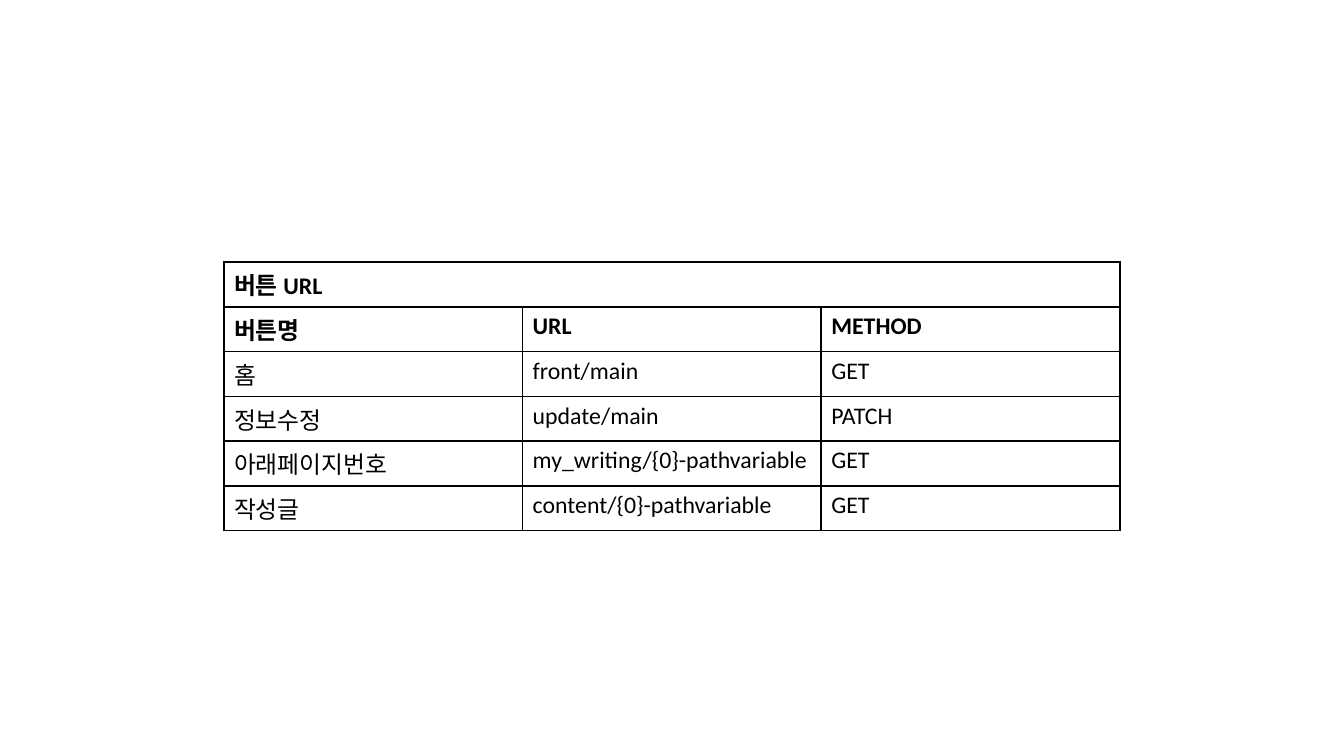
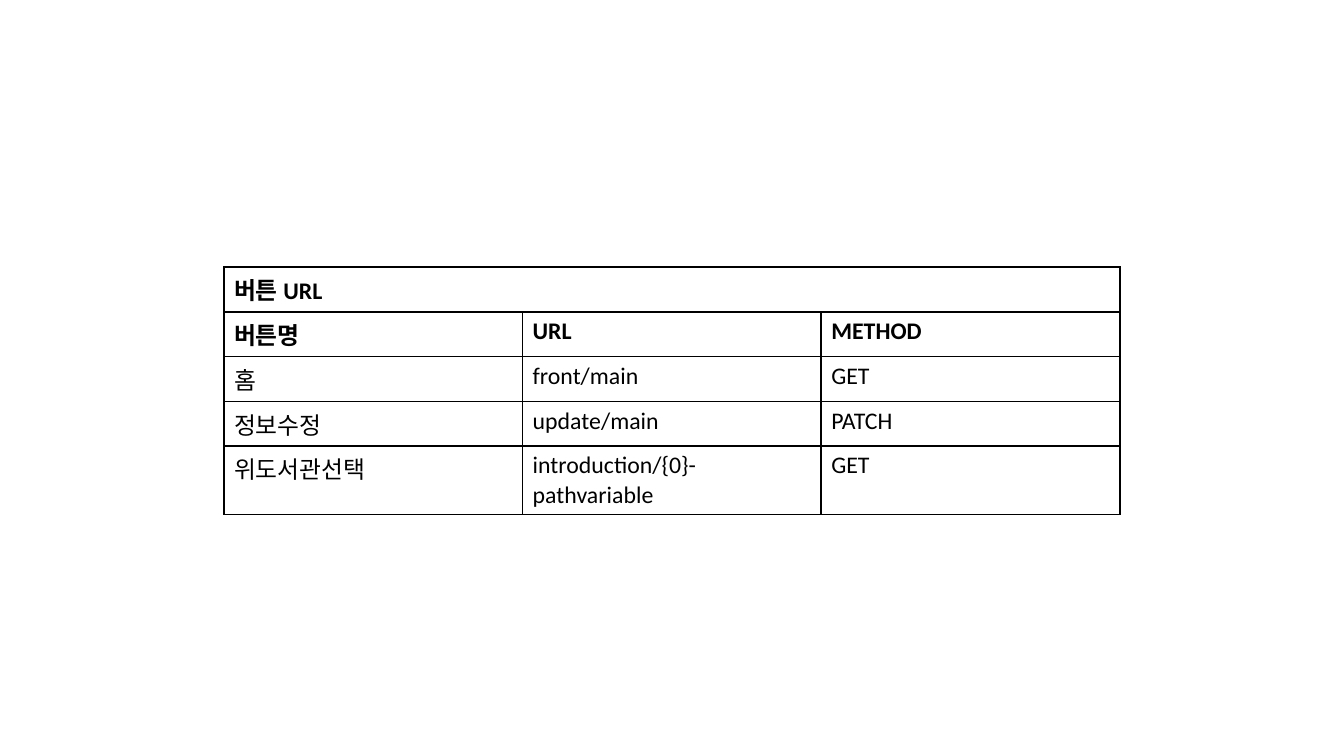
from dataclasses import dataclass

from lxml import etree
from pptx import Presentation
from pptx import util as u
from pptx.dml.color import RGBColor
from pptx.oxml import ns

Pt = u.Pt
COLORS = {"text": "000000", "border": "000000", "cell": "FFFFFF"}
FONT, FONT_SIZE = "Calibri", Pt(17)
BORDER_WIDTH = Pt(1.2)
SLIDE_W, SLIDE_H = Pt(960), Pt(540)
TABLE_LEFT, TABLE_W = Pt(160), Pt(640)
ROW_H = Pt(21.6)
BLANK_LAYOUT = 6

TITLE = "버튼 URL"
HEADERS = ("버튼명", "URL", "METHOD")
HEAD_ROWS = 2


@dataclass(frozen=True)
class Route:
    button: str
    url: str
    method: str = "GET"


@dataclass(frozen=True)
class RouteTable:
    top: float
    routes: tuple[Route, ...]


COMMON_ROUTES = (
    Route("홈", "front/main"),
    Route("정보수정", "update/main", "PATCH"),
)
TABLES = (
    RouteTable(187.2, COMMON_ROUTES + (
        Route("아래페이지번호", "my_writing/{0}-pathvariable"),
        Route("작성글", "content/{0}-pathvariable"),
    )),
    RouteTable(190.8, COMMON_ROUTES + (
        Route("위도서관선택", "introduction/{0}-pathvariable"),
    )),
)


def add_borders(cell) -> None:
    tc_pr = cell._tc.get_or_add_tcPr()
    for side in ("a:lnL", "a:lnR", "a:lnT", "a:lnB"):
        line = etree.SubElement(tc_pr, ns.qn(side), w=str(BORDER_WIDTH))
        fill = etree.SubElement(line, ns.qn("a:solidFill"))
        etree.SubElement(fill, ns.qn("a:srgbClr"), val=COLORS["border"])


def format_cell(cell, bold: bool) -> None:
    add_borders(cell)
    cell.fill.solid()
    cell.fill.fore_color.rgb = RGBColor.from_string(COLORS["cell"])
    for p in cell.text_frame.paragraphs:
        for r in p.runs:
            r.font.name = FONT
            r.font.size = FONT_SIZE
            r.font.bold = bold
            r.font.color.rgb = RGBColor.from_string(COLORS["text"])


def add_route_table(s, data: RouteTable) -> None:
    rows = [(TITLE,), HEADERS]
    rows += [(route.button, route.url, route.method) for route in data.routes]
    columns = len(HEADERS)
    table = s.shapes.add_table(len(rows), columns, TABLE_LEFT, Pt(data.top),
                               TABLE_W, ROW_H * len(rows)).table
    table.first_row = False
    table.horz_banding = False
    table.cell(0, 0).merge(table.cell(0, columns - 1))
    for i, (row, values) in enumerate(zip(table.rows, rows)):
        row.height = ROW_H
        for cell, value in zip(row.cells, values):
            cell.text_frame.text = value
        for cell in row.cells:
            format_cell(cell, bold=i < HEAD_ROWS)


def main() -> None:
    prs = Presentation()
    prs.slide_width, prs.slide_height = SLIDE_W, SLIDE_H
    for data in TABLES:
        s = prs.slides.add_slide(prs.slide_layouts[BLANK_LAYOUT])
        add_route_table(s, data)
    prs.save("out.pptx")


if __name__ == "__main__":
    main()
